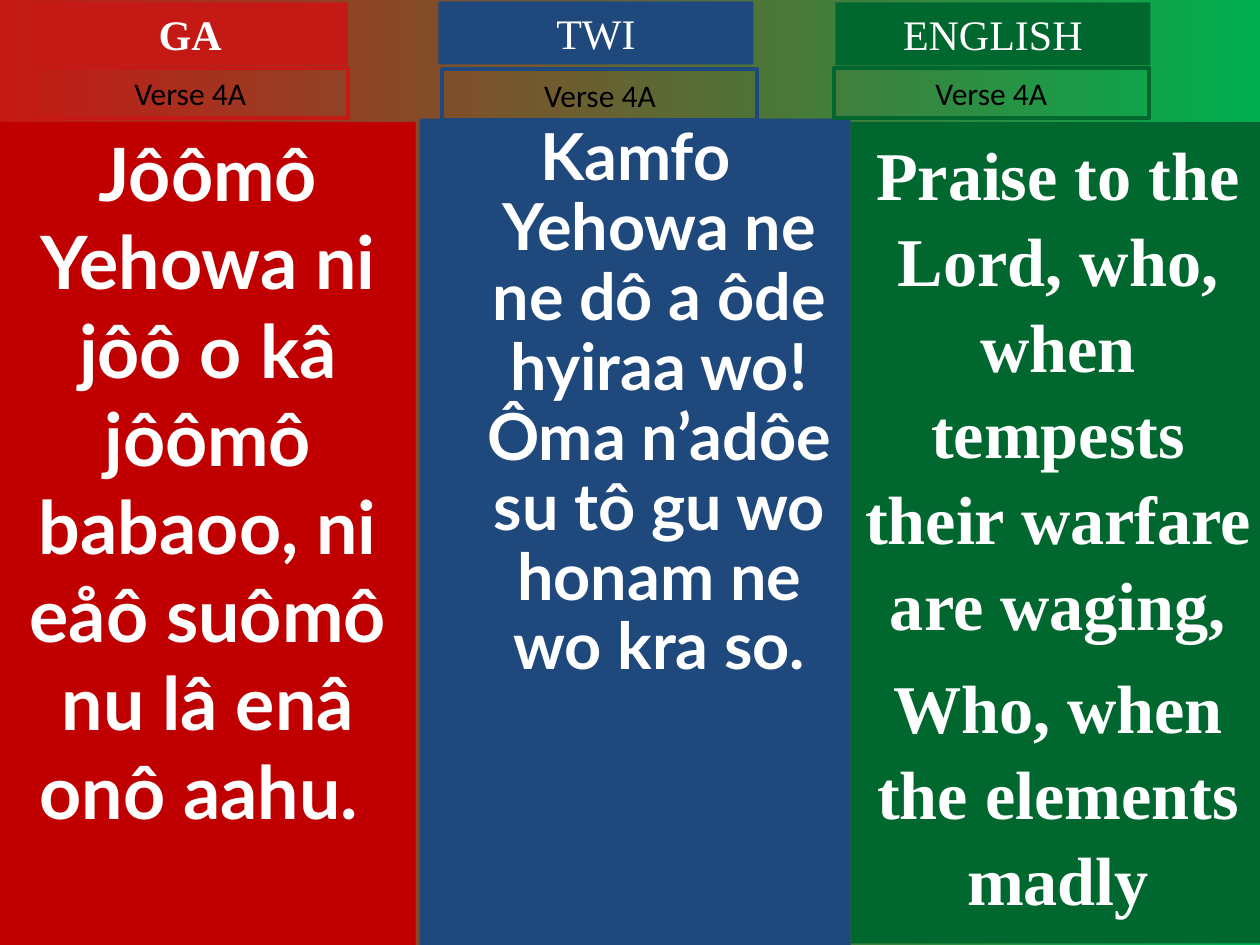
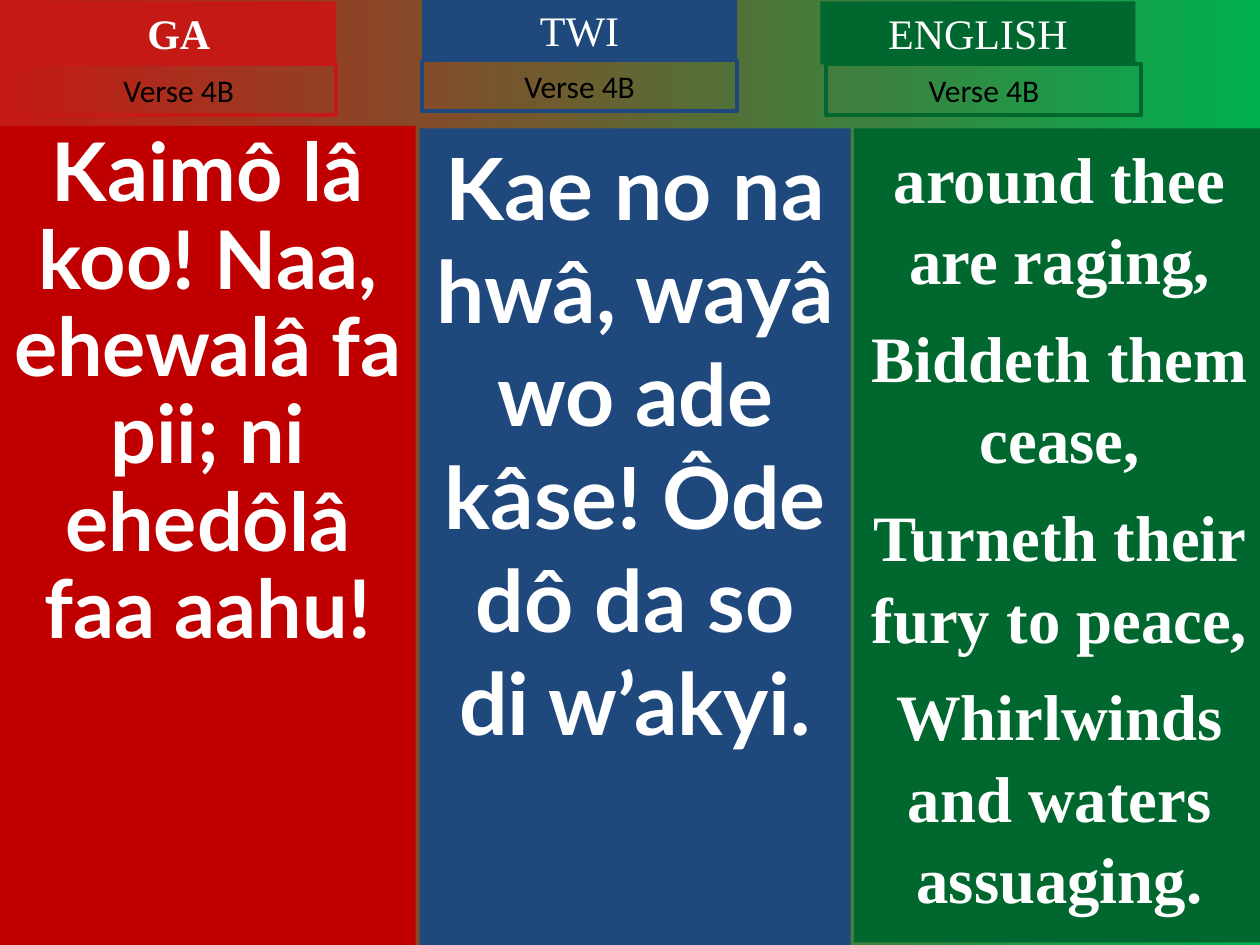
from pptx import Presentation
from pptx.dml.color import RGBColor
from pptx.enum.shapes import MSO_SHAPE
from pptx.enum.text import MSO_ANCHOR, MSO_AUTO_SIZE, PP_ALIGN
from pptx.util import Cm, Pt

COLORS = {
    "ga_panel": "C00000", "ga_label": "C51915",
    "twi_panel": "1F497D", "twi_label": "1F497D",
    "english_panel": "00682F", "english_label": "00682F",
    "sky_start": "C51915", "sky_end": "00B050",
    "white": "FFFFFF", "black": "000000",
}
SERIF, SANS, LYRIC = "Times New Roman", "Calibri", "Lato"
LABEL_WIDTH, TITLE_HEIGHT, VERSE_HEIGHT = 6.35, 1.27, 1.02

# Places in cm: panel = left, top, width, height; title and verse = left, top
VERSES = [
    ("Verse 4A", [
        dict(language="ga", panel=(0, 2.46, 8.38, 16.59), title=(0.66, 0.05),
             verse=(0.66, 1.37), font=LYRIC, size=42,
             lines=["Jôômô Yehowa ni jôô o kâ jôômô babaoo, ni eåô suômô "
                    "nu lâ enâ onô aahu. "]),
        dict(language="twi", panel=(8.46, 2.39, 8.69, 16.66), title=(8.84, 0.03),
             verse=(8.92, 1.4), font=LYRIC, size=37, spacing=0.9, hanging=0.97,
             lines=["Kamfo Yehowa ne ne dô a ôde hyiraa wo! Ôma n’adôe su tô "
                    "gu wo honam ne wo kra so."]),
        dict(language="english", panel=(17.15, 2.46, 8.36, 16.56),
             title=(16.84, 0.05), verse=(16.81, 1.37), font=SERIF, size=39,
             spacing=1.05, gap=9.8,
             lines=["Praise to the Lord, who, when tempests their warfare are "
                    "waging,",
                    "Who, when the elements madly"]),
    ]),
    ("Verse 4B", [
        dict(language="ga", panel=(0, 2.54, 8.38, 16.51), title=(0.43, 0.03),
             verse=(0.43, 1.3), font=LYRIC, size=46.2, spacing=0.9,
             lines=["Kaimô lâ koo! Naa, ehewalâ fa pii; ni ehedôlâ faa aahu!"]),
        dict(language="twi", panel=(8.46, 2.59, 8.69, 16.46), title=(8.51, -0.03),
             verse=(8.51, 1.22), font=LYRIC, size=49,
             lines=["Kae no na hwâ, wayâ wo ade kâse! Ôde dô da so di w’akyi."]),
        dict(language="english", panel=(17.22, 2.59, 8.28, 16.41),
             title=(16.54, 0.03), verse=(16.66, 1.3), font=SERIF, size=37,
             spacing=1.05, gap=9.2,
             lines=["around thee are raging,", "Biddeth them cease,",
                    "Turneth their fury to peace,",
                    "Whirlwinds and waters assuaging."]),
    ]),
]


def color(name):
    return RGBColor.from_string(COLORS[name])


def add_box(page, place, fill=None, outline=None):
    box = page.shapes.add_shape(MSO_SHAPE.RECTANGLE, *(Cm(length) for length in place))
    box.shadow.inherit = False
    if fill:
        box.fill.solid()
        box.fill.fore_color.rgb = color(fill)
    else:
        box.fill.background()
    if outline:
        box.line.color.rgb = color(outline)
        box.line.width = Pt(2.25)
    else:
        box.line.fill.background()
    frame = box.text_frame
    frame.word_wrap = True
    frame.vertical_anchor = MSO_ANCHOR.TOP
    return box


def write(para, text, font, size, ink, bold=False):
    para.alignment = PP_ALIGN.CENTER
    span = para.add_run()
    span.text = text
    span.font.name = font
    span.font.size = Pt(size)
    span.font.bold = bold
    span.font.color.rgb = color(ink)


def add_lyrics(page, column):
    box = add_box(page, column["panel"], fill=column["language"] + "_panel")
    for index, line in enumerate(column["lines"]):
        para = box.text_frame.paragraphs[0] if index == 0 else box.text_frame.add_paragraph()
        para.line_spacing = column.get("spacing", 1.0)
        if index:
            para.space_before = Pt(column["gap"])
        if "hanging" in column:
            indent = Cm(column["hanging"])
            properties = para._p.get_or_add_pPr()
            properties.set("marL", str(indent))
            properties.set("indent", str(-indent))
        write(para, line, column["font"], column["size"], "white", bold=True)


def add_label(page, place, text, font, size, ink, bold=False, **paint):
    box = add_box(page, place, **paint)
    box.text_frame.auto_size = MSO_AUTO_SIZE.SHAPE_TO_FIT_TEXT
    write(box.text_frame.paragraphs[0], text, font, size, ink, bold)


def add_heading(page, column, verse):
    language = column["language"]
    paint = language + "_label"
    add_label(page, (*column["title"], LABEL_WIDTH, TITLE_HEIGHT), language.upper(),
              SERIF, 24, "white", bold=language == "ga", fill=paint)
    add_label(page, (*column["verse"], LABEL_WIDTH, VERSE_HEIGHT), verse,
              SANS, 18, "black", outline=paint)


def paint_background(page):
    fill = page.background.fill
    fill.gradient()
    fill.gradient_angle = 0
    for stop, name in zip(fill.gradient_stops, ("sky_start", "sky_end")):
        stop.color.rgb = color(name)


def main():
    deck = Presentation()
    deck.slide_width, deck.slide_height = Cm(25.4), Cm(19.05)
    for verse, columns in VERSES:
        page = deck.slides.add_slide(deck.slide_layouts[6])
        paint_background(page)
        # Lyric panels lie beneath the headings
        for column in columns:
            add_lyrics(page, column)
        for column in columns:
            add_heading(page, column, verse)
    deck.save("out.pptx")


if __name__ == "__main__":
    main()
